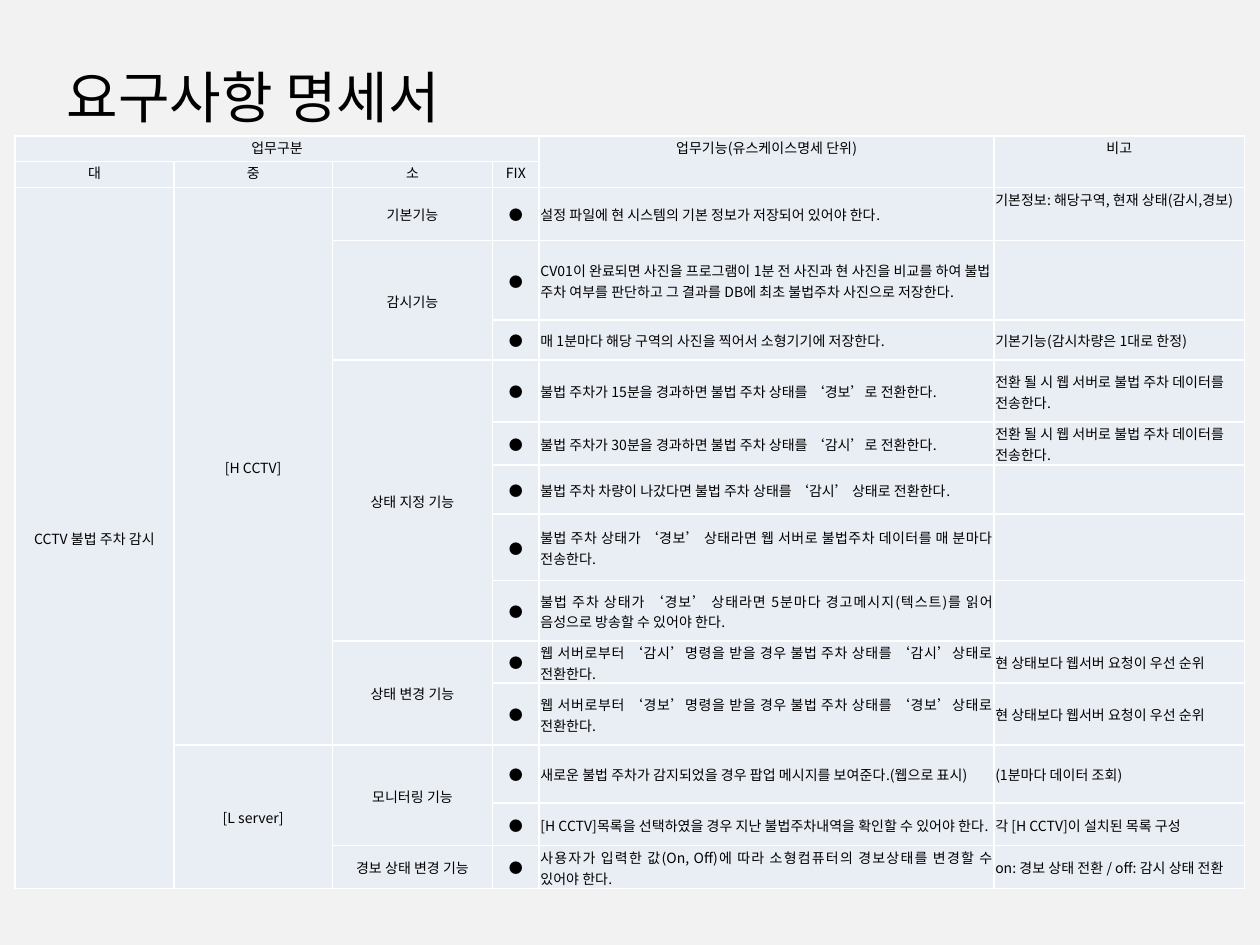
from lxml import etree
from pptx import Presentation
from pptx.dml.color import RGBColor
from pptx.enum.text import MSO_ANCHOR, MSO_AUTO_SIZE, PP_ALIGN
from pptx.oxml.ns import qn
from pptx.util import Inches, Pt

LEFT, CENTER, JUSTIFY = PP_ALIGN.LEFT, PP_ALIGN.CENTER, PP_ALIGN.JUSTIFY
TOP, MIDDLE = MSO_ANCHOR.TOP, MSO_ANCHOR.MIDDLE

FONT = "Noto Sans CJK KR"
COLORS = {"background": "F2F2F2", "cell": "E9EDF4", "border": "FFFFFF", "text": "000000"}
TITLE = "요구사항 명세서"
DOT = "●"
COLUMN_WIDTHS = [1.26, 1.26, 1.27, 0.37, 3.61, 1.99]
ROW_HEIGHTS = [0.2, 0.21, 0.42, 0.63, 0.32, 0.49, 0.34, 0.39, 0.53, 0.48, 0.32, 0.49, 0.46, 0.34, 0.34]
HEADER_ROWS = 2
FUNCTION_COLUMN, NOTE_COLUMN = 4, 5
LEFT_ALIGNED_FUNCTIONS = (3, 4)
TOP_ANCHORED_NOTE = (2, NOTE_COLUMN)

ROWS = [
    ("업무구분", None, None, None, "업무기능(유스케이스명세 단위)", "비고"),
    ("대", "중", "소", "FIX", None, None),
    ("CCTV 불법 주차 감시", "[H CCTV]", "기본기능", DOT,
     "설정 파일에 현 시스템의 기본 정보가 저장되어 있어야 한다.",
     "기본정보: 해당구역, 현재 상태(감시,경보)"),
    (None, None, "감시기능", DOT,
     "CV01이 완료되면 사진을 프로그램이 1분 전 사진과 현 사진을 비교를 하여 "
     "불법 주차 여부를 판단하고 그 결과를 DB에 최초 불법주차 사진으로 저장한다.", ""),
    (None, None, None, DOT, "매 1분마다 해당 구역의 사진을 찍어서 소형기기에 저장한다.",
     "기본기능(감시차량은 1대로 한정)"),
    (None, None, "상태 지정 기능", DOT,
     "불법 주차가 15분을 경과하면 불법 주차 상태를 ‘경보’로 전환한다.",
     "전환 될 시 웹 서버로 불법 주차 데이터를 전송한다."),
    (None, None, None, DOT,
     "불법 주차가 30분을 경과하면 불법 주차 상태를 ‘감시’로 전환한다.",
     "전환 될 시 웹 서버로 불법 주차 데이터를 전송한다."),
    (None, None, None, DOT,
     "불법 주차 차량이 나갔다면 불법 주차 상태를 ‘감시’ 상태로 전환한다.", ""),
    (None, None, None, DOT,
     "불법 주차 상태가 ‘경보’ 상태라면 웹 서버로 불법주차 데이터를 매 분마다 전송한다.", ""),
    (None, None, None, DOT,
     "불법 주차 상태가 ‘경보’ 상태라면 5분마다 경고메시지(텍스트)를 읽어 "
     "음성으로 방송할 수 있어야 한다.", ""),
    (None, None, "상태 변경 기능", DOT,
     "웹 서버로부터 ‘감시’명령을 받을 경우 불법 주차 상태를 ‘감시’상태로 전환한다.",
     "현 상태보다 웹서버 요청이 우선 순위"),
    (None, None, None, DOT,
     "웹 서버로부터 ‘경보’명령을 받을 경우 불법 주차 상태를 ‘경보’상태로 전환한다.",
     "현 상태보다 웹서버 요청이 우선 순위"),
    (None, "[L server]", "모니터링 기능", DOT,
     "새로운 불법 주차가 감지되었을 경우 팝업 메시지를 보여준다.(웹으로 표시)",
     "(1분마다 데이터 조회)"),
    (None, None, None, DOT,
     "[H CCTV]목록을 선택하였을 경우 지난 불법주차내역을 확인할 수 있어야 한다.",
     "각 [H CCTV]이 설치된 목록 구성"),
    (None, None, "경보 상태 변경 기능", DOT,
     "사용자가 입력한 값(On, Off)에 따라 소형컴퓨터의 경보상태를 변경할 수 있어야 한다.",
     "on: 경보 상태 전환 / off: 감시 상태 전환"),
]


def write_text(tf, text, size=8, align=LEFT):
    p = tf.paragraphs[0]
    p.alignment = align
    r = p.add_run()
    r.text = text
    r.font.size = Pt(size)
    r.font.name = FONT
    r.font.color.rgb = RGBColor.from_string(COLORS["text"])
    etree.SubElement(r.font._element, qn("a:ea"), typeface=FONT)


def format_cell(cell):
    cell.margin_left = cell.margin_right = cell.margin_top = Inches(0.01)
    cell.margin_bottom = 0
    cell.fill.solid()
    cell.fill.fore_color.rgb = RGBColor.from_string(COLORS["cell"])
    props = cell._tc.get_or_add_tcPr()
    for i, side in enumerate(("lnL", "lnR", "lnT", "lnB")):
        line = etree.Element(qn(f"a:{side}"), w=str(Pt(1)))
        fill = etree.SubElement(line, qn("a:solidFill"))
        etree.SubElement(fill, qn("a:srgbClr"), val=COLORS["border"])
        props.insert(i, line)


def count_merged(values):
    count = 0
    for value in values:
        if value is not None:
            break
        count += 1
    return count


def alignment(row, col):
    if row < HEADER_ROWS or col < FUNCTION_COLUMN:
        return CENTER
    if col == FUNCTION_COLUMN and row not in LEFT_ALIGNED_FUNCTIONS:
        return JUSTIFY
    return LEFT


def add_title(s):
    sp = s.shapes.title
    sp.left, sp.top, sp.width, sp.height = (Inches(v) for v in (0.43, 0.44, 3.5, 0.64))
    tf = sp.text_frame
    tf.word_wrap = False
    tf.auto_size = MSO_AUTO_SIZE.NONE
    tf.vertical_anchor = MIDDLE
    write_text(tf, TITLE, size=32)


def add_requirements(s):
    table = s.shapes.add_table(
        len(ROWS), len(COLUMN_WIDTHS), Inches(0.12), Inches(1.08),
        Inches(sum(COLUMN_WIDTHS)), Inches(sum(ROW_HEIGHTS))).table
    table.first_row = table.horz_banding = False
    for column, width in zip(table.columns, COLUMN_WIDTHS):
        column.width = Inches(width)
    for row, height in zip(table.rows, ROW_HEIGHTS):
        row.height = Inches(height)
    for r, values in enumerate(ROWS):
        for c, text in enumerate(values):
            cell = table.cell(r, c)
            format_cell(cell)
            if text is None:
                continue
            right = count_merged(values[c + 1:]) if r == 0 else 0
            down = count_merged(row[c] for row in ROWS[r + 1:])
            if right or down:
                cell.merge(table.cell(r + down, c + right))
            at_top = r < HEADER_ROWS or (r, c) == TOP_ANCHORED_NOTE
            cell.vertical_anchor = TOP if at_top else MIDDLE
            if text:
                write_text(cell.text_frame, text, align=alignment(r, c))


def main():
    prs = Presentation()
    prs.slide_width, prs.slide_height = Inches(10), Inches(7.5)
    s = prs.slides.add_slide(prs.slide_layouts[5])
    s.background.fill.solid()
    s.background.fill.fore_color.rgb = RGBColor.from_string(COLORS["background"])
    add_title(s)
    add_requirements(s)
    prs.save("out.pptx")


if __name__ == "__main__":
    main()
